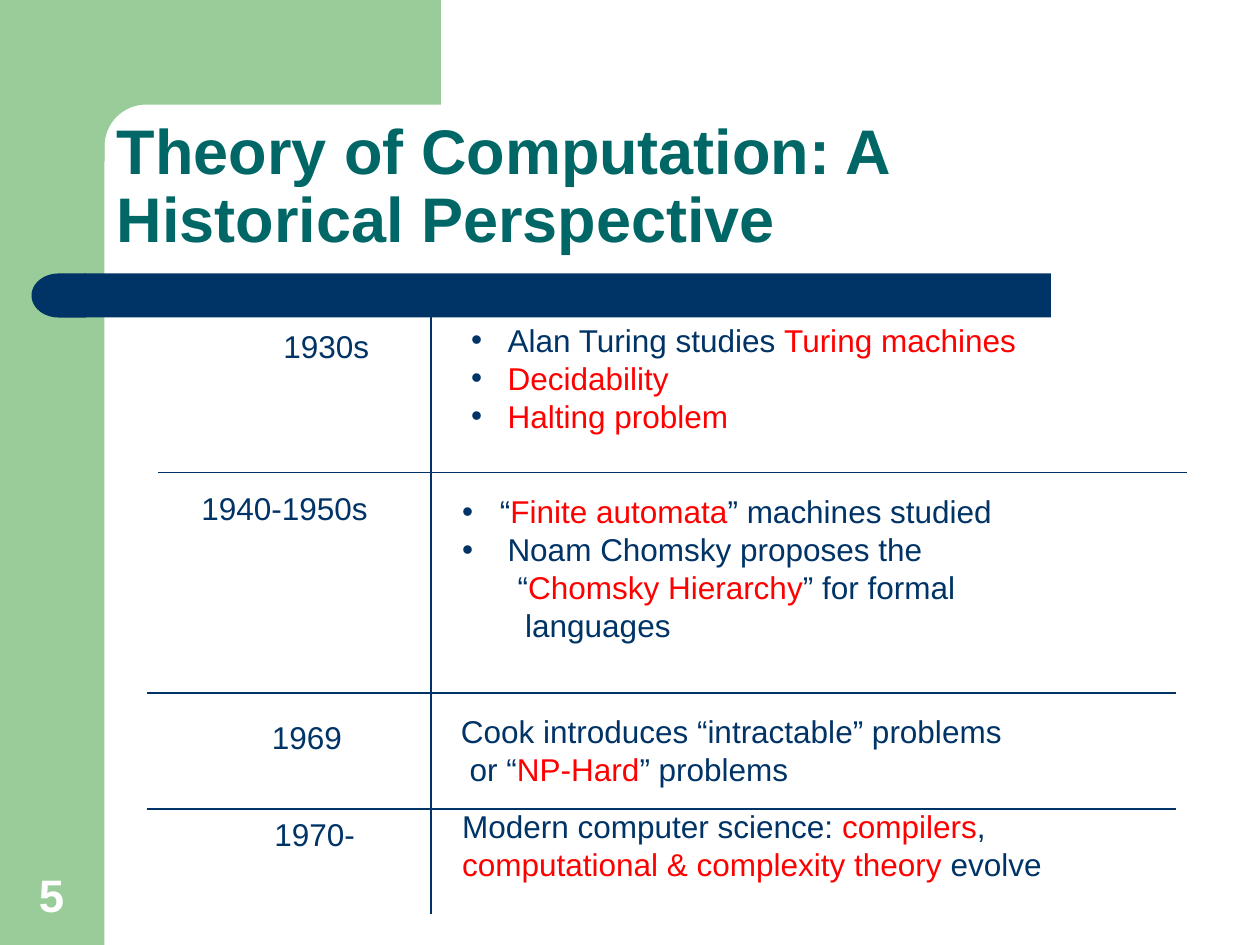
from math import cos, pi, sin

from lxml.etree import SubElement
from pptx import Presentation
from pptx.dml.color import RGBColor
from pptx.enum.shapes import MSO_CONNECTOR, MSO_SHAPE
from pptx.enum.text import MSO_ANCHOR, PP_ALIGN
from pptx.oxml.ns import qn
from pptx.util import Inches, Pt

GREEN = RGBColor(0x99, 0xCC, 0x99)
NAVY = RGBColor(0x00, 0x33, 0x66)
TEAL = RGBColor(0x00, 0x66, 0x66)
RED = RGBColor(0xFF, 0x00, 0x00)
WHITE = RGBColor(0xFF, 0xFF, 0xFF)

TITLE = "Theory of Computation: A Historical Perspective"
NUMBER = "5"

# Text between asterisks is red; each line is (bulleted, left indent, text)
PERIODS = [
    {"date": "1930s", "date_at": (2.15, 2.55), "at": (3.64, 2.5), "lines": [
        (True, 0.29, "Alan Turing studies *Turing machines*"),
        (True, 0.29, "*Decidability*"),
        (True, 0.29, "*Halting problem*")]},
    {"date": "1940-1950s", "date_at": (1.5, 3.83), "at": (3.57, 3.86), "lines": [
        (True, 0.3, "“*Finite automata*” machines studied"),
        (True, 0.36, "Noam Chomsky proposes the"),
        (False, 0.44, "“*Chomsky Hierarchy*” for formal"),
        (False, 0.5, "languages")]},
    {"date": "1969", "date_at": (2.06, 5.65), "at": (3.56, 5.6), "lines": [
        (False, 0, "Cook introduces “intractable” problems"),
        (False, 0.07, "or “*NP-Hard*” problems")]},
    {"date": "1970-", "date_at": (2.08, 6.42), "at": (3.57, 6.36), "lines": [
        (False, 0, "Modern computer science: *compilers*,"),
        (False, 0, "*computational & complexity theory* evolve")]},
]
RULES = [
    (1.25, 3.75, 9.42, 3.75),
    (1.17, 5.5, 9.33, 5.5),
    (1.17, 6.42, 9.33, 6.42),
    (3.42, 2.42, 3.42, 7.25),
]

prs = Presentation()
prs.slide_width, prs.slide_height = Inches(10), Inches(7.5)
s = prs.slides.add_slide(prs.slide_layouts[6])


def paint(sp, color):
    sp.shadow.inherit = False
    sp.fill.solid()
    sp.fill.fore_color.rgb = color
    sp.line.fill.background()
    return sp


def add_block(kind, box, color):
    return paint(s.shapes.add_shape(kind, *map(Inches, box)), color)


def add_box(x, y, w, h, anchor=MSO_ANCHOR.TOP):
    tf = s.shapes.add_textbox(*map(Inches, (x, y, w, h))).text_frame
    tf.word_wrap = True
    tf.vertical_anchor = anchor
    return tf


def style(font, size, color, bold=False):
    font.name = "Arial"
    font.size = Pt(size)
    font.bold = bold
    font.color.rgb = color


def set_indent(p, bulleted, indent):
    pPr = p._p.get_or_add_pPr()
    pPr.set("marL", str(Inches(indent)))
    if bulleted:
        pPr.set("indent", str(-Inches(indent)))
        color = SubElement(pPr, qn("a:buClr"))
        SubElement(color, qn("a:srgbClr")).set("val", str(NAVY))
        SubElement(pPr, qn("a:buFont")).set("typeface", "Arial")
        SubElement(pPr, qn("a:buChar")).set("char", "•")


# Green side band and top block with a rounded inner corner
add_block(MSO_SHAPE.RECTANGLE, (0, 0, 0.83, 7.5), GREEN)
radius, steps = 0.33, 16
center = 0.83 + radius
angles = [pi / 2 * i / steps for i in range(steps + 1)]
arc = [(center - radius * sin(a), center - radius * cos(a)) for a in angles]
outline = [(3.5, 0), (3.5, 0.83), *arc, (0.83, 1.28), (0.5, 1.28), (0.5, 0)]
points = [(Inches(x), Inches(y)) for x, y in outline]
builder = s.shapes.build_freeform(*points[0])
builder.add_line_segments(points[1:], close=True)
paint(builder.convert_to_shape(), GREEN)

# Navy bar with a rounded left end
add_block(MSO_SHAPE.RECTANGLE, (0.67, 2.17, 7.67, 0.35), NAVY)
add_block(MSO_SHAPE.FLOWCHART_DELAY, (0.25, 2.17, 0.43, 0.35), NAVY).rotation = 180

# Slide number and title
tf = add_box(0.09, 6.83, 0.64, 0.53, MSO_ANCHOR.BOTTOM)
tf.text = NUMBER
tf.paragraphs[0].alignment = PP_ALIGN.CENTER
style(tf.paragraphs[0].runs[0].font, 26, WHITE, bold=True)

tf = add_box(0.83, 0.83, 8.67, 1.25, MSO_ANCHOR.BOTTOM)
tf.text = TITLE
tf.paragraphs[0].line_spacing = 0.9
style(tf.paragraphs[0].runs[0].font, 36, TEAL, bold=True)

# Dates and events
for period in PERIODS:
    tf = add_box(*period["date_at"], 1.8, 0.5)
    tf.text = period["date"]
    style(tf.paragraphs[0].runs[0].font, 18, NAVY)

    lines = period["lines"]
    tf = add_box(*period["at"], 5.8, 0.1 + 0.3 * len(lines))
    for i, (bulleted, indent, text) in enumerate(lines):
        p = tf.add_paragraph() if i else tf.paragraphs[0]
        set_indent(p, bulleted, indent)
        for j, part in enumerate(text.split("*")):
            if part:
                r = p.add_run()
                r.text = part
                style(r.font, 18, RED if j % 2 else NAVY)

# Dividing lines
for ends in RULES:
    line = s.shapes.add_connector(MSO_CONNECTOR.STRAIGHT, *map(Inches, ends))
    line.line.color.rgb = NAVY
    line.line.width = Pt(0.75)
    SubElement(line._element.spPr, qn("a:effectLst"))

prs.save("out.pptx")
